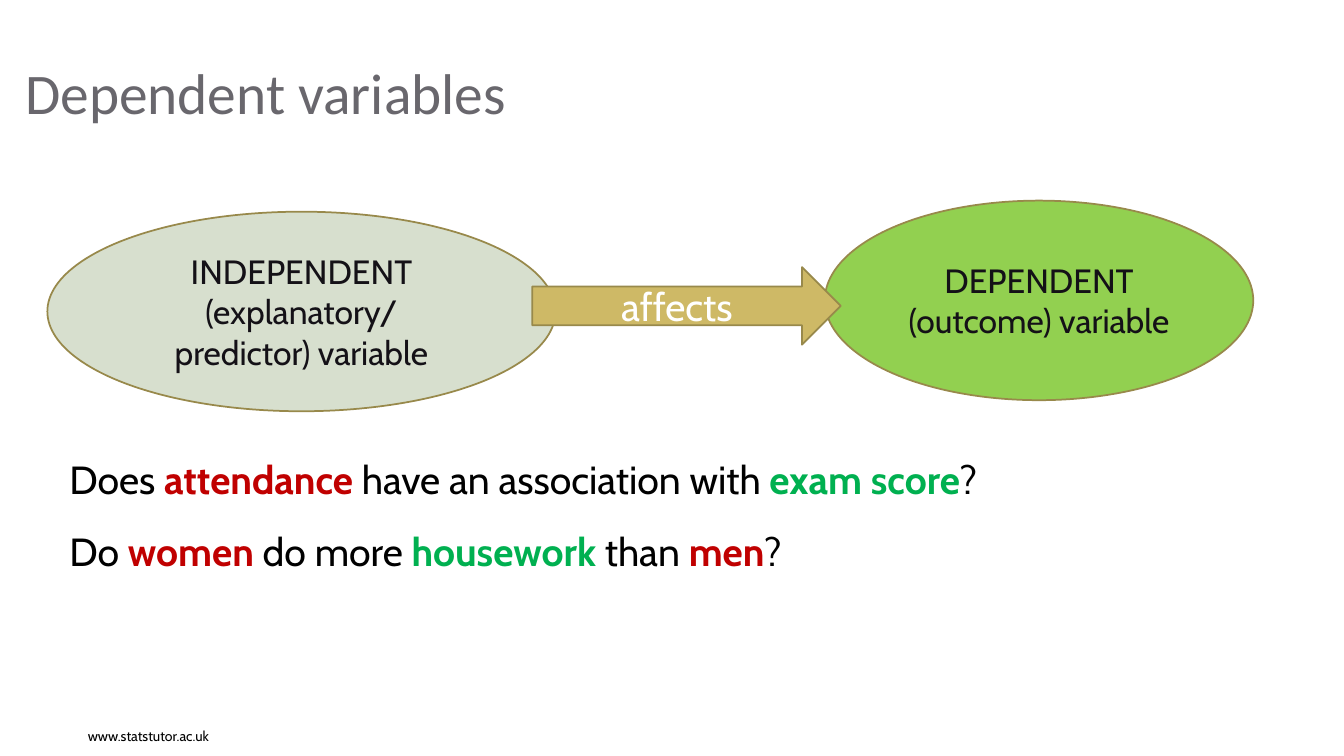
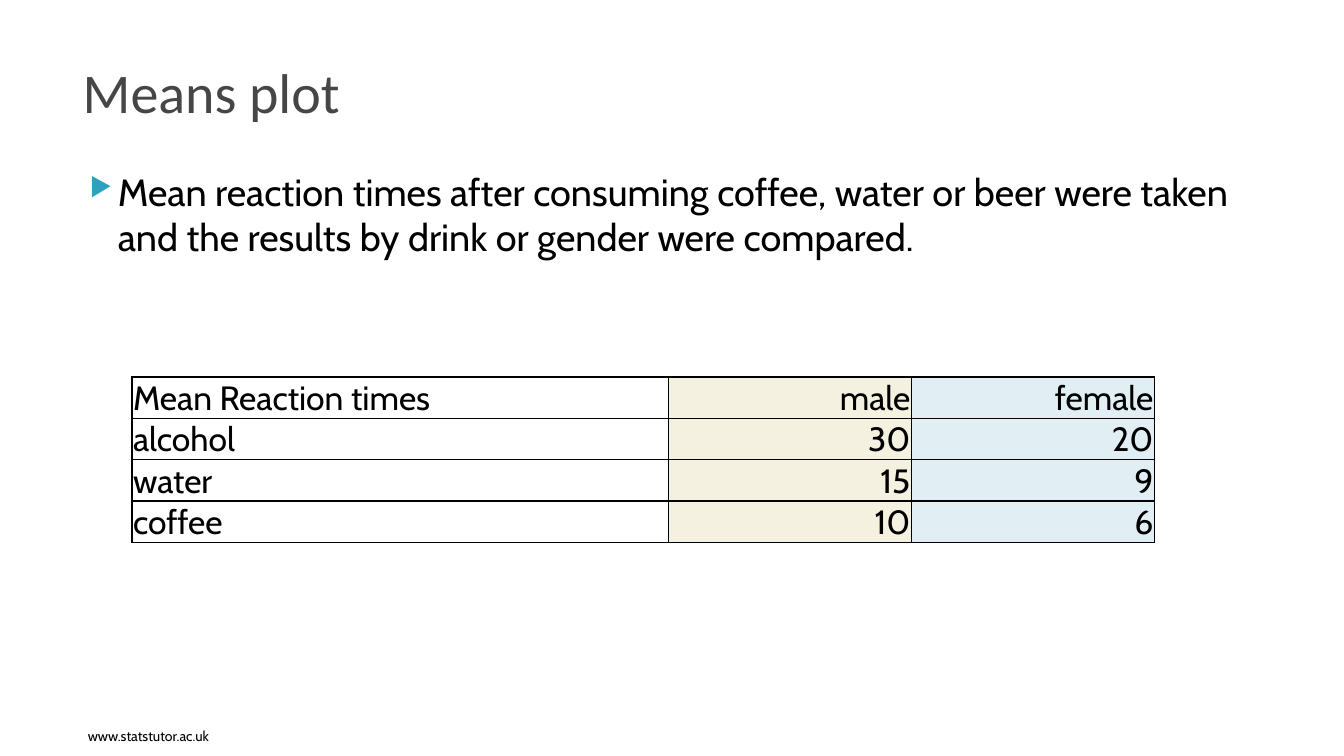
from dataclasses import dataclass

from lxml.etree import SubElement
from pptx import Presentation
from pptx.dml.color import RGBColor
from pptx.enum.shapes import MSO_SHAPE as Form
from pptx.enum.text import MSO_ANCHOR as Anchor, MSO_AUTO_SIZE as Fit, PP_ALIGN as Align
from pptx.oxml.ns import qn
from pptx.util import Inches, Pt


@dataclass(frozen=True)
class Theme:
    head: str = "Calibri"
    body: str = "Cabin"
    black: str = "000000"
    white: str = "FFFFFF"
    ink: str = "141117"
    red: str = "C00000"
    green: str = "00B050"
    edge: str = "98894B"
    gold: str = "CEB966"
    sage: str = "D7DFCE"
    lime: str = "92D050"
    cream: str = "F5F1E0"
    ice: str = "E1EFF4"
    bullet: str = "2DA2BF"
    large: int = 28
    point: int = 27
    label: int = 24
    small: int = 10


T = Theme()

SITE = "www.statstutor.ac.uk"

# Title text, left, width, size, colour
TITLES = [
    ("Dependent variables", 0.15, 12.92, 41, "69676D"),
    ("Means plot", 0.72, 12.62, 40, "464646"),
]

# Form, box, fill, text colour, size, lines
SHAPES = [
    (Form.OVAL, (8.18, 1.99, 4.25, 1.98), T.lime, T.ink, T.label,
     ["DEPENDENT (outcome) variable"]),
    (Form.OVAL, (0.47, 2.1, 5.04, 1.98), T.sage, T.ink, T.label,
     ["INDEPENDENT", "(explanatory/", "predictor) variable"]),
    (Form.RIGHT_ARROW, (5.28, 2.65, 3.06, 0.77), T.gold, T.white, T.large,
     ["affects"]),
]

# Each question is a list of (text, colour); coloured words are bold
ASKS = [
    [("Does ", T.black), ("attendance", T.red), (" have an association with ", T.black),
     ("exam score", T.green), ("?", T.black)],
    [("Do ", T.black), ("women", T.red), (" do more ", T.black), ("housework", T.green),
     (" than ", T.black), ("men", T.red), ("?", T.black)],
]

POINT = ("Mean reaction times after consuming coffee, water or beer were taken "
         "and the results by drink or gender were compared.")

ROWS = [
    ("Mean Reaction times", "male", "female"),
    ("alcohol", "30", "20"),
    ("water", "15", "9"),
    ("coffee", "10", "6"),
]
# Width, fill, alignment
COLS = [
    (5.32, T.white, Align.LEFT),
    (2.41, T.cream, Align.RIGHT),
    (2.41, T.ice, Align.RIGHT),
]


def apply(thing, values):
    for name, value in values.items():
        setattr(thing, name, value)


def write(para, text, size, color=T.black, face=T.body, bold=False):
    run = para.add_run()
    run.text = text
    apply(run.font, {"name": face, "size": Pt(size), "bold": bold})
    run.font.color.rgb = RGBColor.from_string(color)


def indent(para, left, first=0):
    props = para._p.get_or_add_pPr()
    props.set("marL", str(Inches(left)))
    props.set("indent", str(Inches(first)))
    return props


def paint(thing, color):
    thing.fill.solid()
    thing.fill.fore_color.rgb = RGBColor.from_string(color)


def add_box(slide, box, anchor=Anchor.TOP):
    frame = slide.shapes.add_textbox(*map(Inches, box)).text_frame
    apply(frame, {"word_wrap": True, "vertical_anchor": anchor})
    return frame


def add_slide(deck, text, left, width, size, color):
    """Add a slide with its title and the shared footer."""
    slide = deck.slides.add_slide(deck.slide_layouts[5])
    title = slide.shapes.title
    apply(title, {"left": Inches(left), "top": Inches(0.52),
                  "width": Inches(width), "height": Inches(1.03)})
    frame = title.text_frame
    apply(frame, {"auto_size": Fit.NONE, "word_wrap": True, "vertical_anchor": Anchor.TOP})
    para = frame.paragraphs[0]
    para.alignment = Align.LEFT
    write(para, text, size, color, T.head)

    foot = add_box(slide, (-0.22, 7.08, 2.39, 0.35), Anchor.BOTTOM).paragraphs[0]
    foot.alignment = Align.RIGHT
    write(foot, SITE, T.small)
    return slide


def add_shape(slide, form, box, fill, color, size, lines):
    shape = slide.shapes.add_shape(form, *map(Inches, box))
    shape.shadow.inherit = False
    paint(shape, fill)
    shape.line.color.rgb = RGBColor.from_string(T.edge)
    shape.line.width = Pt(1.25)
    frame = shape.text_frame
    apply(frame, {"word_wrap": True, "vertical_anchor": Anchor.MIDDLE})
    for i, line in enumerate(lines):
        para = frame.add_paragraph() if i else frame.paragraphs[0]
        para.alignment = Align.CENTER
        write(para, line, size, color)


def add_asks(slide):
    frame = add_box(slide, (0.47, 4.47, 12.4, 1.5))
    for i, parts in enumerate(ASKS):
        para = frame.add_paragraph() if i else frame.paragraphs[0]
        indent(para, 0.12)
        para.space_before = Pt(18 if i else 0)
        for text, color in parts:
            write(para, text, T.large, color, bold=color != T.black)


def add_point(slide):
    para = add_box(slide, (0.67, 1.62, 12, 1.2)).paragraphs[0]
    props = indent(para, 0.4, -0.28)
    tint = SubElement(props, qn("a:buClr"))
    SubElement(tint, qn("a:srgbClr"), val=T.bullet)
    SubElement(props, qn("a:buSzPct"), val="68000")
    SubElement(props, qn("a:buChar"), char="▶")
    write(para, POINT, T.point)


def add_edges(cell):
    props = cell._tc.get_or_add_tcPr()
    for side in ("lnL", "lnR", "lnT", "lnB"):
        line = SubElement(props, qn(f"a:{side}"), w=str(Pt(1)))
        fill = SubElement(line, qn("a:solidFill"))
        SubElement(fill, qn("a:srgbClr"), val=T.black)


def add_grid(slide):
    high = 0.41
    width = sum(col[0] for col in COLS)
    box = (1.31, 3.74, width, high * len(ROWS))
    table = slide.shapes.add_table(len(ROWS), len(COLS), *map(Inches, box)).table
    apply(table, {"first_row": False, "horz_banding": False})
    for col, (wide, _, _) in zip(table.columns, COLS):
        col.width = Inches(wide)
    for r, row in enumerate(ROWS):
        table.rows[r].height = Inches(high)
        for c, (text, (_, fill, align)) in enumerate(zip(row, COLS)):
            cell = table.cell(r, c)
            add_edges(cell)
            paint(cell, fill)
            pad = Inches(0.01)
            apply(cell, {"margin_left": pad, "margin_right": pad, "margin_top": pad,
                         "margin_bottom": 0, "vertical_anchor": Anchor.BOTTOM})
            para = cell.text_frame.paragraphs[0]
            para.alignment = align
            write(para, text, T.label)


def main():
    deck = Presentation()
    apply(deck, {"slide_width": Inches(13.33), "slide_height": Inches(7.5)})
    first, second = [add_slide(deck, *title) for title in TITLES]
    add_asks(first)
    for item in SHAPES:
        add_shape(first, *item)
    add_point(second)
    add_grid(second)
    deck.save("out.pptx")


if __name__ == "__main__":
    main()
